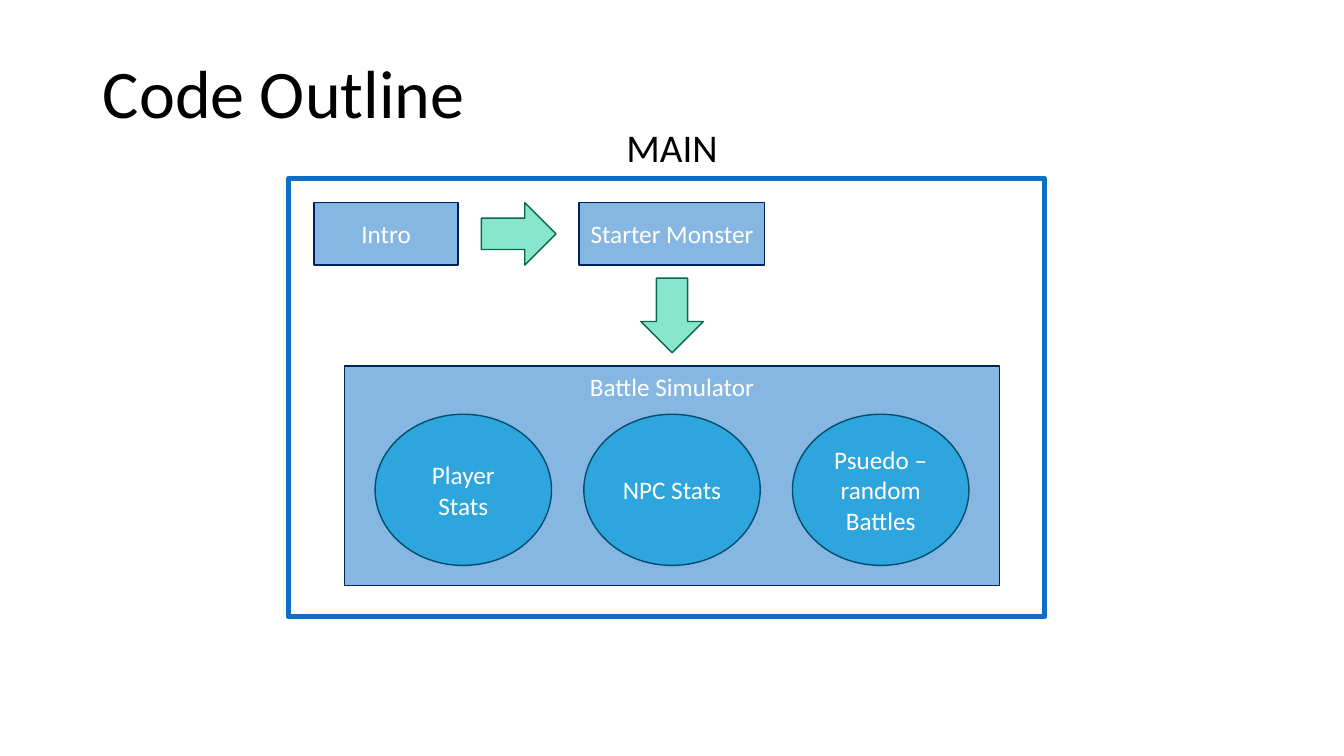
from dataclasses import dataclass
from lxml import etree
from pptx import Presentation
from pptx.dml.color import RGBColor
from pptx.enum.shapes import MSO_SHAPE
from pptx.enum.text import MSO_ANCHOR, PP_ALIGN
from pptx.oxml.ns import qn
from pptx.util import Inches, Pt

RECT, OVAL, ARROW = MSO_SHAPE.RECTANGLE, MSO_SHAPE.OVAL, MSO_SHAPE.RIGHT_ARROW
TOP, MIDDLE = MSO_ANCHOR.TOP, MSO_ANCHOR.MIDDLE
LEFT, CENTER = PP_ALIGN.LEFT, PP_ALIGN.CENTER

TITLE = "Code Outline"
PROGRAM = "MAIN"
INTRO, STARTER = "Intro", "Starter Monster"
BATTLE = "Battle Simulator"
BATTLE_TOPICS = ["Player Stats", "NPC Stats", "Psuedo – random Battles"]


@dataclass(frozen=True)
class Theme:
    font: str = "Calibri"
    dark: str = "000000"
    light: str = "FFFFFF"
    border: tuple = (None, 0, "0F6FC6", 3.75)
    step: tuple = ("0F6FC6", 50, "002060", 1)
    flow: tuple = ("10CF9B", 50, "08684E", 1)
    topic: tuple = ("009DD9", 65, "004E6C", 1)
    title_size: float = 48.6
    program_size: float = 28
    label_size: float = 18


THEME = Theme()
SLIDE_W, SLIDE_H = 13.33, 7.5
MID = SLIDE_W / 2
STEP_TOP, STEP_H, STEP_GAP = 2.01, 0.62, 0.23
INTRO_W, STARTER_W, FLOW_W = 1.43, 1.84, 0.74
BATTLE_TOP, BATTLE_W, BATTLE_H = 3.63, 6.5, 2.18
TOPIC_TOP, TOPIC_W, TOPIC_H, TOPIC_PITCH = 4.11, 1.75, 1.5, 2.07


def write(shape, text, size, color, align=CENTER, anchor=MIDDLE):
    frame = shape.text_frame
    frame.word_wrap = True
    frame.vertical_anchor = anchor
    frame.text = text
    paragraph = frame.paragraphs[0]
    paragraph.alignment = align
    paragraph.font.name = THEME.font
    paragraph.font.size = Pt(size)
    paragraph.font.color.rgb = RGBColor.from_string(color)
    return paragraph


def draw(slide, kind, box, style, label=None, anchor=MIDDLE):
    fill, opacity, line, width = style
    shape = slide.shapes.add_shape(kind, *map(Inches, box))
    shape.shadow.inherit = False
    shape.line.color.rgb = RGBColor.from_string(line)
    shape.line.width = Pt(width)
    if fill:
        shape.fill.solid()
        shape.fill.fore_color.rgb = RGBColor.from_string(fill)
        color = shape.element.spPr.find(qn("a:solidFill"))[0]
        etree.SubElement(color, qn("a:alpha")).set("val", str(opacity * 1000))
    else:
        shape.fill.background()
    if label:
        write(shape, label, THEME.label_size, THEME.light, anchor=anchor)
    return shape


def main():
    deck = Presentation()
    deck.slide_width, deck.slide_height = Inches(SLIDE_W), Inches(SLIDE_H)
    slide = deck.slides.add_slide(deck.slide_layouts[5])

    title = slide.shapes.title
    title.left, title.top, title.width, title.height = map(Inches, (0.92, 0.5, 6.75, 0.91))
    write(title, TITLE, THEME.title_size, THEME.dark, LEFT).line_spacing = 0.9

    draw(slide, RECT, (2.86, 1.77, 7.5, 4.35), THEME.border)

    starter_x = MID - STARTER_W / 2
    flow_x = starter_x - STEP_GAP - FLOW_W
    intro_x = flow_x - STEP_GAP - INTRO_W
    down_y = (STEP_TOP + STEP_H + BATTLE_TOP - STEP_H) / 2
    draw(slide, RECT, (intro_x, STEP_TOP, INTRO_W, STEP_H), THEME.step, INTRO)
    draw(slide, ARROW, (flow_x, STEP_TOP, FLOW_W, STEP_H), THEME.flow)
    draw(slide, RECT, (starter_x, STEP_TOP, STARTER_W, STEP_H), THEME.step, STARTER)
    down = draw(slide, ARROW, (MID - FLOW_W / 2, down_y, FLOW_W, STEP_H), THEME.flow)
    down.rotation = 90

    battle_box = (MID - BATTLE_W / 2, BATTLE_TOP, BATTLE_W, BATTLE_H)
    draw(slide, RECT, battle_box, THEME.step, BATTLE, TOP)
    for i, topic in enumerate(BATTLE_TOPICS):
        center = MID + (i - (len(BATTLE_TOPICS) - 1) / 2) * TOPIC_PITCH
        topic_box = (center - TOPIC_W / 2, TOPIC_TOP, TOPIC_W, TOPIC_H)
        draw(slide, OVAL, topic_box, THEME.topic, topic)

    program = slide.shapes.add_textbox(*map(Inches, (MID - 0.94, 1.17, 1.88, 0.57)))
    write(program, PROGRAM, THEME.program_size, THEME.dark, anchor=TOP)

    deck.save("out.pptx")


if __name__ == "__main__":
    main()
